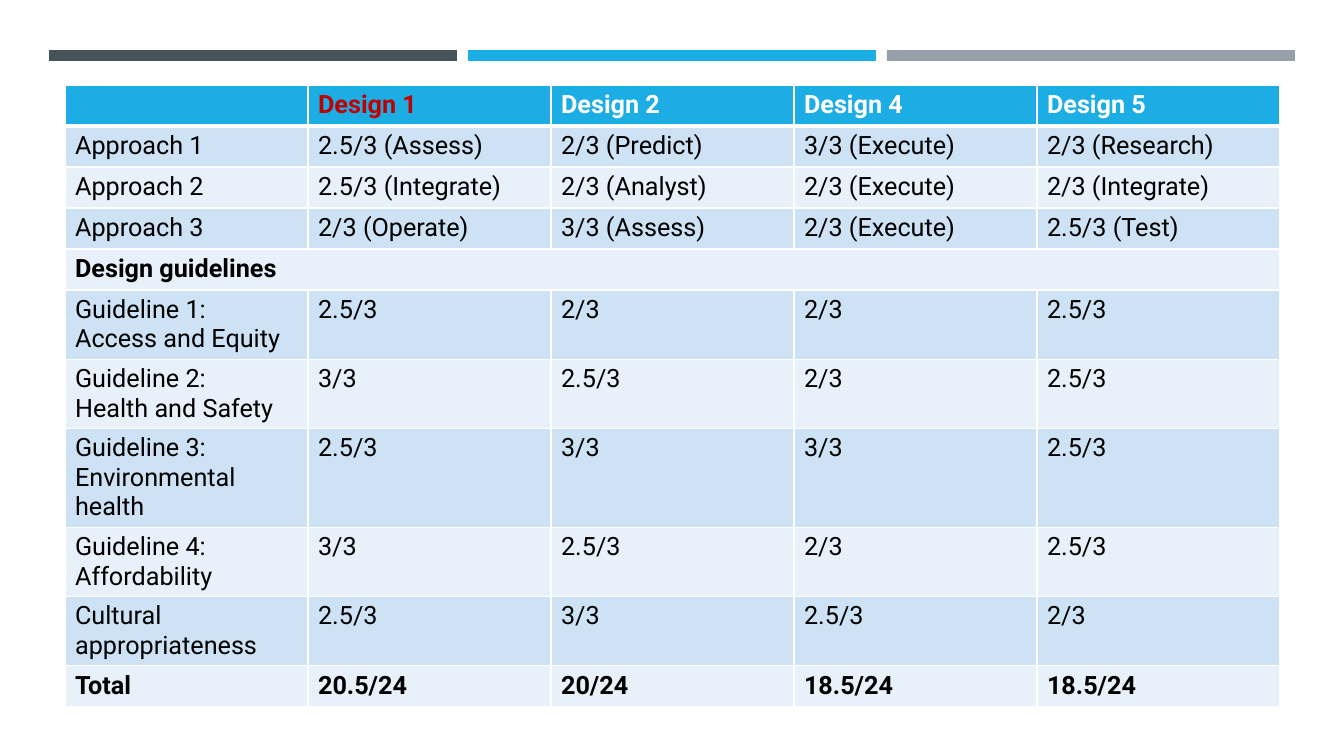
from lxml import etree
from pptx import Presentation, util as u
from pptx.dml.color import RGBColor
from pptx.enum import shapes
from pptx.oxml import ns

FONT = "Roboto"
WHITE = RGBColor(0xFF, 0xFF, 0xFF)
BLACK = RGBColor(0x00, 0x00, 0x00)
RED = RGBColor(0xC0, 0x00, 0x00)
BLUE = RGBColor(0x1C, 0xAD, 0xE4)
SLATE = RGBColor(0x46, 0x53, 0x59)
GRAY = RGBColor(0x96, 0x9F, 0xA7)
BANDS = (RGBColor(0xE8, 0xF1, 0xFA), RGBColor(0xCD, 0xE3, 0xF5))

SCORES = [
    ("", "Design 1", "Design 2", "Design 4", "Design 5"),
    ("Approach 1", "2.5/3 (Assess)", "2/3 (Predict)", "3/3 (Execute)", "2/3 (Research)"),
    ("Approach 2", "2.5/3 (Integrate)", "2/3 (Analyst)", "2/3 (Execute)", "2/3 (Integrate)"),
    ("Approach 3", "2/3 (Operate)", "3/3 (Assess)", "2/3 (Execute)", "2.5/3 (Test)"),
    ("Design guidelines", "", "", "", ""),
    ("Guideline 1:\nAccess and Equity", "2.5/3", "2/3", "2/3", "2.5/3"),
    ("Guideline 2:\nHealth and Safety", "3/3", "2.5/3", "2/3", "2.5/3"),
    ("Guideline 3:\nEnvironmental health", "2.5/3", "3/3", "3/3", "2.5/3"),
    ("Guideline 4:\nAffordability", "3/3", "2.5/3", "2/3", "2.5/3"),
    ("Cultural appropriateness", "2.5/3", "3/3", "2.5/3", "2/3"),
    ("Total", "20.5/24", "20/24", "18.5/24", "18.5/24"),
]
HEADER_ROW, SECTION_ROW, TOTAL_ROW = 0, 4, 10
BEST_COLUMN = 1

PX_PER_INCH = 100.8
SLIDE_WIDTH, SLIDE_HEIGHT = 1344, 756
BAR_COLORS = (SLATE, BLUE, GRAY)
BAR_LEFT, BAR_TOP, BAR_WIDTH, BAR_HEIGHT, BAR_STEP = 49, 50, 408, 11, 419
TABLE_LEFT, TABLE_TOP, COLUMN_WIDTH = 65, 85, 243
ROW_HEIGHTS = [41] * 5 + [69, 69, 98, 69, 69, 41]


def px(length):
    return u.Inches(length / PX_PER_INCH)


def add_bars(slide):
    for index, color in enumerate(BAR_COLORS):
        bar = slide.shapes.add_shape(
            shapes.MSO_SHAPE.RECTANGLE, px(BAR_LEFT + index * BAR_STEP), px(BAR_TOP),
            px(BAR_WIDTH), px(BAR_HEIGHT))
        bar.shadow.inherit = False
        bar.fill.solid()
        bar.fill.fore_color.rgb = color
        bar.line.fill.background()


def set_borders(cell, row):
    """Draw white borders, thicker between the header and the body."""
    properties = cell._tc.get_or_add_tcPr()
    widths = {"L": 1, "R": 1,
              "T": 3 if row == HEADER_ROW + 1 else 1,
              "B": 3 if row == HEADER_ROW else 1}
    for side, width in widths.items():
        line = etree.SubElement(properties, ns.qn(f"a:ln{side}"), w=str(u.Pt(width)))
        fill = etree.SubElement(line, ns.qn("a:solidFill"))
        etree.SubElement(fill, ns.qn("a:srgbClr"), val=str(WHITE))


def format_cell(cell, row, column):
    is_header = row == HEADER_ROW
    set_borders(cell, row)
    cell.fill.solid()
    cell.fill.fore_color.rgb = BLUE if is_header else BANDS[row % 2]
    for paragraph in cell.text_frame.paragraphs:
        font = paragraph.font
        font.name = FONT
        font.size = u.Pt(18)
        font.bold = row in (HEADER_ROW, SECTION_ROW, TOTAL_ROW)
        if is_header:
            font.color.rgb = RED if column == BEST_COLUMN else WHITE
        else:
            font.color.rgb = BLACK


def add_score_table(slide):
    column_count = len(SCORES[0])
    table = slide.shapes.add_table(
        len(SCORES), column_count, px(TABLE_LEFT), px(TABLE_TOP),
        px(COLUMN_WIDTH * column_count), px(sum(ROW_HEIGHTS))).table
    for column in table.columns:
        column.width = px(COLUMN_WIDTH)
    for row, values in enumerate(SCORES):
        table.rows[row].height = px(ROW_HEIGHTS[row])
        for column, value in enumerate(values):
            cell = table.cell(row, column)
            cell.text = value
            format_cell(cell, row, column)
    table.cell(SECTION_ROW, 0).merge(table.cell(SECTION_ROW, column_count - 1))


def main():
    presentation = Presentation()
    presentation.slide_width = px(SLIDE_WIDTH)
    presentation.slide_height = px(SLIDE_HEIGHT)
    slide = presentation.slides.add_slide(presentation.slide_layouts[6])
    add_bars(slide)
    add_score_table(slide)
    presentation.save("out.pptx")


if __name__ == "__main__":
    main()
